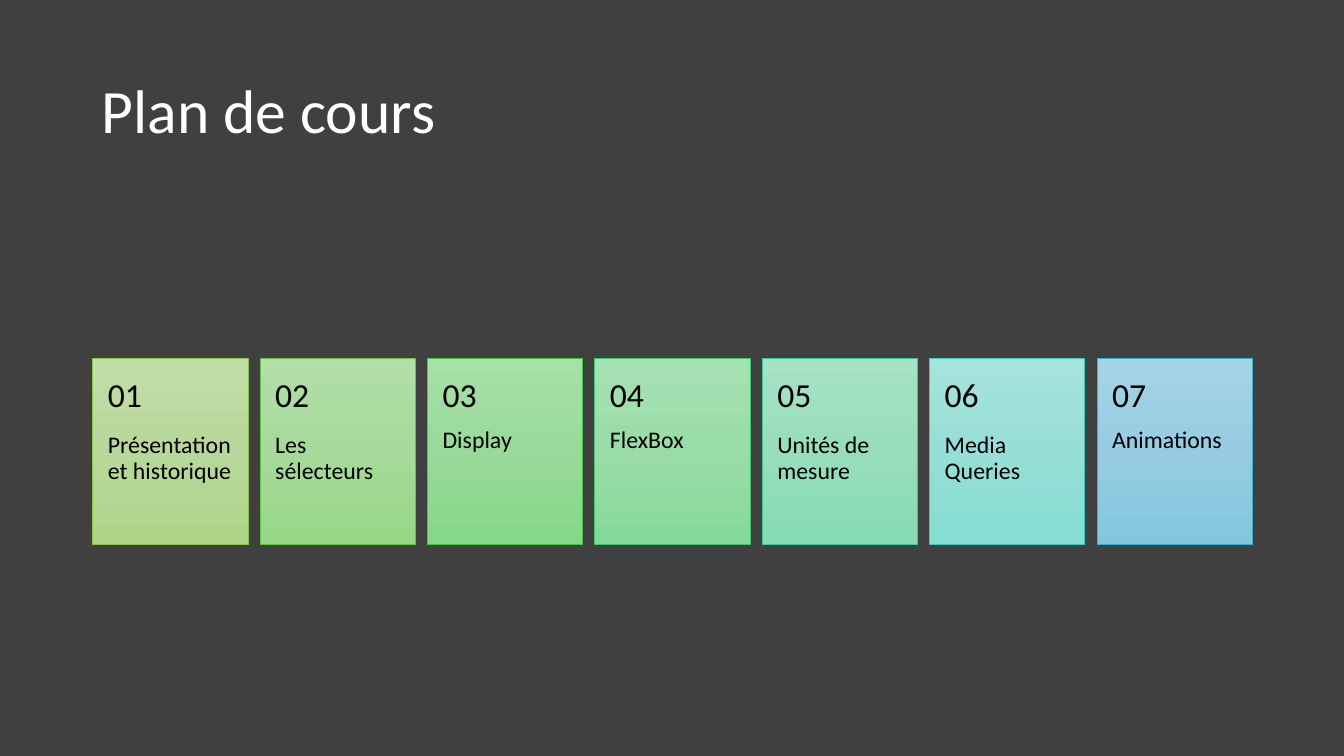
from copy import deepcopy

from pptx import Presentation
from pptx.dml.color import RGBColor
from pptx.enum.shapes import MSO_SHAPE
from pptx.enum.text import MSO_ANCHOR
from pptx.oxml.ns import qn
from pptx.util import Inches, Pt

RECT = MSO_SHAPE.RECTANGLE
TOP = MSO_ANCHOR.TOP
MIDDLE = MSO_ANCHOR.MIDDLE

COLORS = {"back": "404040", "title": "FFFFFF", "text": "000000"}
FONT = "Calibri"

TITLE = {"size": 44, "color": "title", "anchor": MIDDLE,
         "insets": (0.1, 0.05, 0.1, 0.05)}
NUMBER = {"size": 24, "color": "text", "anchor": MIDDLE,
          "insets": (0.15, 0.18, 0.15, 0.18)}
LABEL = {"size": 17, "color": "text", "anchor": TOP,
         "insets": (0.15, 0, 0.15, 0.36)}

LEFT, ROW, PITCH = 0.92, 3.56, 1.66
WIDTH, HEIGHT, HEAD = 1.54, 1.84, 0.74

TOPICS = [
    ("Présentation et historique", ("C2DEA8", "B8D79B", "AED588"), "8BC145"),
    ("Les sélecteurs", ("B2DFA8", "A6D99A", "97D787"), "65C343"),
    ("Display", ("A7E0A8", "99DA9A", "86D888"), "40C543"),
    ("FlexBox", ("A6E1B4", "99DCA8", "86DA99"), "3EC76A"),
    ("Unités de mesure", ("A6E2C5", "98DDBC", "85DCB3"), "3BCA93"),
    ("Media Queries", ("A5E4DC", "97DED6", "84DED3"), "39CCBE"),
    ("Animations", ("A5D4E5", "97CCE0", "83C7DF"), "36AFCE"),
]


def rgb(code):
    return RGBColor.from_string(code)


def add_text(shapes, box, text, style):
    frame = shapes.add_textbox(*map(Inches, box)).text_frame
    left, top, right, bottom = map(Inches, style["insets"])
    layout = {"word_wrap": True, "vertical_anchor": style["anchor"],
              "margin_left": left, "margin_top": top,
              "margin_right": right, "margin_bottom": bottom}
    for name, value in layout.items():
        setattr(frame, name, value)
    para = frame.paragraphs[0]
    para.line_spacing = 0.9
    run = para.add_run()
    run.text = text
    for name, value in {"name": FONT, "size": Pt(style["size"])}.items():
        setattr(run.font, name, value)
    run.font.color.rgb = rgb(COLORS[style["color"]])


def shade(shape, tones):
    fill = shape.fill
    fill.gradient()
    fill.gradient_angle = 270
    stops = shape._element.spPr.find(qn("a:gradFill")).find(qn("a:gsLst"))
    stops.insert(1, deepcopy(stops[0]))
    for stop, place, tone in zip(fill.gradient_stops, (0, 0.5, 1), tones):
        stop.position = place
        stop.color.rgb = rgb(tone)


def add_card(slide, index, topic):
    label, tones, edge = topic
    left = LEFT + index * PITCH
    shapes = slide.shapes.add_group_shape().shapes
    card = shapes.add_shape(RECT, *map(Inches, (left, ROW, WIDTH, HEIGHT)))
    card.shadow.inherit = False
    shade(card, tones)
    card.line.color.rgb = rgb(edge)
    card.line.width = Pt(0.5)
    add_text(shapes, (left, ROW + HEAD, WIDTH, HEIGHT - HEAD), label, LABEL)
    add_text(shapes, (left, ROW, WIDTH, HEAD), f"{index + 1:02}", NUMBER)


def main():
    deck = Presentation()
    deck.slide_width = Inches(13.33)
    deck.slide_height = Inches(7.5)
    slide = deck.slides.add_slide(deck.slide_layouts[6])
    slide.background.fill.solid()
    slide.background.fill.fore_color.rgb = rgb(COLORS["back"])
    add_text(slide.shapes, (0.91, 0.4, 11.51, 1.45), "Plan de cours", TITLE)
    for index, topic in enumerate(TOPICS):
        add_card(slide, index, topic)
    deck.save("out.pptx")


if __name__ == "__main__":
    main()
